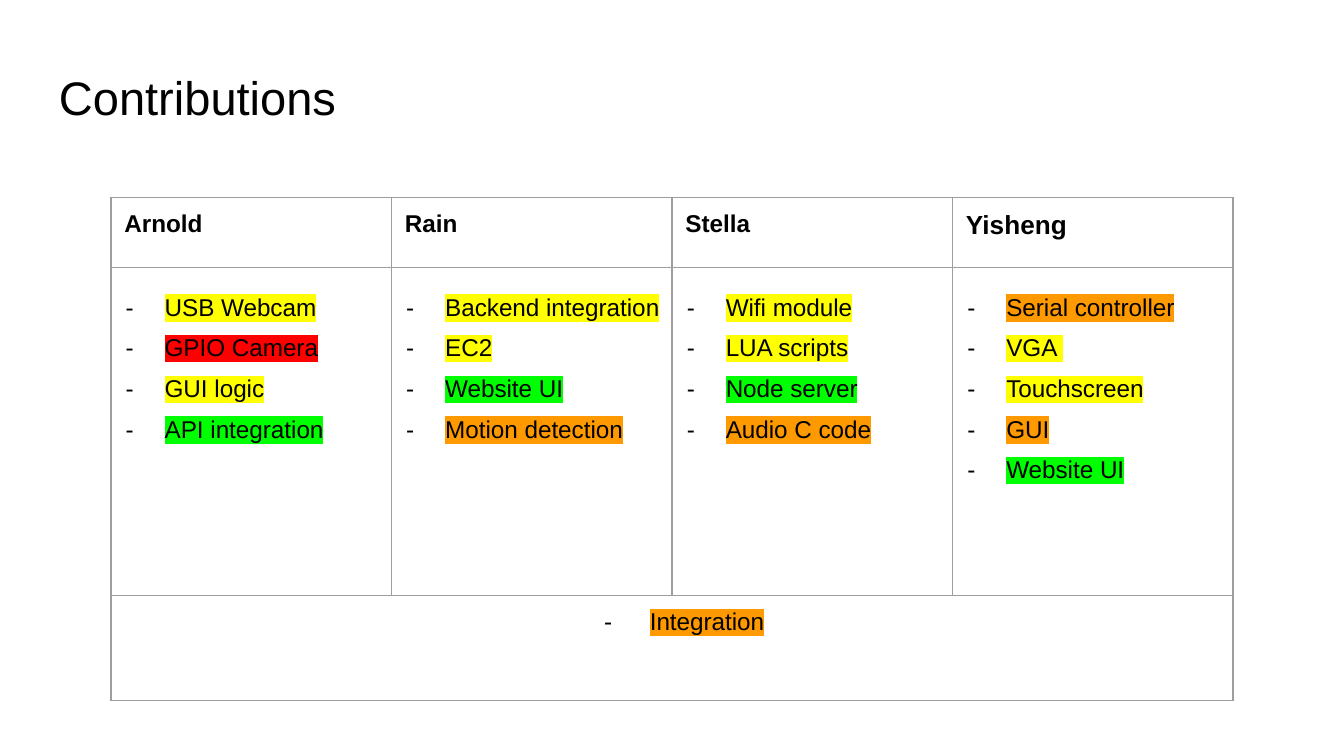
import pptx
import pptx.dml.color
import pptx.enum.text
import pptx.oxml.ns
import pptx.util
from lxml import etree

Inches, Pt = pptx.util.Inches, pptx.util.Pt
RGBColor = pptx.dml.color.RGBColor
PP_ALIGN = pptx.enum.text.PP_ALIGN

BLACK = RGBColor(0x00, 0x00, 0x00)
WHITE = RGBColor(0xFF, 0xFF, 0xFF)
GRAY = RGBColor(0x9E, 0x9E, 0x9E)
YELLOW = RGBColor(0xFF, 0xFF, 0x00)
RED = RGBColor(0xFF, 0x00, 0x00)
GREEN = RGBColor(0x00, 0xFF, 0x00)
ORANGE = RGBColor(0xFF, 0x99, 0x00)

# Content: member, name size, tasks with their highlight
TITLE = "Contributions"
MEMBERS = [
    ("Arnold", 13, [("USB Webcam", YELLOW), ("GPIO Camera", RED),
                    ("GUI logic", YELLOW), ("API integration", GREEN)]),
    ("Rain", 13, [("Backend integration", YELLOW), ("EC2", YELLOW),
                  ("Website UI", GREEN), ("Motion detection", ORANGE)]),
    ("Stella", 13, [("Wifi module", YELLOW), ("LUA scripts", YELLOW),
                    ("Node server", GREEN), ("Audio C code", ORANGE)]),
    ("Yisheng", 14, [("Serial controller", ORANGE), ("VGA ", YELLOW),
                     ("Touchscreen", YELLOW), ("GUI", ORANGE),
                     ("Website UI", GREEN)]),
]
SHARED_TASKS = [("Integration", ORANGE)]

# Layout in inches: a 16:9 slide with the table centred across it
SLIDE_WIDTH = 10
SLIDE_HEIGHT = SLIDE_WIDTH * 9 / 16
TABLE_WIDTH = 8.35
TABLE_LEFT, TABLE_TOP = (SLIDE_WIDTH - TABLE_WIDTH) / 2, 1.47
COLUMN_WIDTH = TABLE_WIDTH / len(MEMBERS)
ROW_HEIGHTS = [0.52, 2.44, 0.78]
INSET = 0.1
CELL_RIGHT_INSET = 0.08  # keeps the longest task on one line
TASK_LIST = {"indent": 0.3, "hanging": 0.29, "line_spacing": 1.5}
SHARED_LIST = {"indent": 0.5, "hanging": 0.34, "alignment": PP_ALIGN.CENTER}


def add_xml(parent, tag, **attributes):
    return etree.SubElement(parent, pptx.oxml.ns.qn(tag), attributes)


def set_insets(target, right=INSET):
    for side in ("left", "top", "bottom"):
        setattr(target, f"margin_{side}", Inches(INSET))
    target.margin_right = Inches(right)


def write_text(paragraph, text, size, bold=False, highlight=None):
    run = paragraph.add_run()
    run.text = text
    for name, value in {"name": "Arial", "size": Pt(size), "bold": bold}.items():
        setattr(run.font, name, value)
    run.font.color.rgb = BLACK
    if highlight is not None:
        properties = run.font._element
        mark = add_xml(properties, "a:highlight")
        add_xml(mark, "a:srgbClr", val=str(highlight))
        properties.find(pptx.oxml.ns.qn("a:latin")).addprevious(mark)


def write_tasks(cell, tasks, indent, hanging, **formats):
    for index, (text, highlight) in enumerate(tasks):
        frame = cell.text_frame
        paragraph = frame.add_paragraph() if index else frame.paragraphs[0]
        properties = paragraph._p.get_or_add_pPr()
        properties.set("marL", str(Inches(indent)))
        properties.set("indent", str(-Inches(hanging)))
        add_xml(add_xml(properties, "a:buClr"), "a:srgbClr", val=str(BLACK))
        add_xml(properties, "a:buFont", typeface="Arial")
        add_xml(properties, "a:buChar", char="-")
        for name, value in formats.items():
            setattr(paragraph, name, value)
        write_text(paragraph, text, 13, highlight=highlight)


def style_cell(cell):
    set_insets(cell, CELL_RIGHT_INSET)
    properties = cell._tc.get_or_add_tcPr()
    for side in ("L", "R", "T", "B"):
        line = add_xml(properties, f"a:ln{side}", w=str(Pt(0.75)))
        add_xml(add_xml(line, "a:solidFill"), "a:srgbClr", val=str(GRAY))
    cell.fill.solid()
    cell.fill.fore_color.rgb = WHITE


presentation = pptx.Presentation()
presentation.slide_width = Inches(SLIDE_WIDTH)
presentation.slide_height = Inches(SLIDE_HEIGHT)
slide = presentation.slides.add_slide(presentation.slide_layouts[6])

# Contributions table
table = slide.shapes.add_table(
    len(ROW_HEIGHTS), len(MEMBERS), Inches(TABLE_LEFT), Inches(TABLE_TOP),
    Inches(TABLE_WIDTH), Inches(sum(ROW_HEIGHTS))).table
table.first_row = table.horz_banding = False
for column in table.columns:
    column.width = Inches(COLUMN_WIDTH)
for row, height in zip(table.rows, ROW_HEIGHTS):
    row.height = Inches(height)
for cell in table.iter_cells():
    style_cell(cell)

for index, (member, size, tasks) in enumerate(MEMBERS):
    name_cell = table.cell(0, index)
    write_text(name_cell.text_frame.paragraphs[0], member, size, bold=True)
    write_tasks(table.cell(1, index), tasks, **TASK_LIST)

# Shared work across all columns
shared_cell = table.cell(2, 0)
shared_cell.merge(table.cell(2, len(MEMBERS) - 1))
write_tasks(shared_cell, SHARED_TASKS, **SHARED_LIST)

# Title
title = slide.shapes.add_textbox(Inches(0.34), Inches(0.4),
                                 Inches(9.32), Inches(0.63)).text_frame
title.word_wrap = True
title.vertical_anchor = pptx.enum.text.MSO_ANCHOR.BOTTOM
set_insets(title)
write_text(title.paragraphs[0], TITLE, 25.2)

presentation.save("out.pptx")
